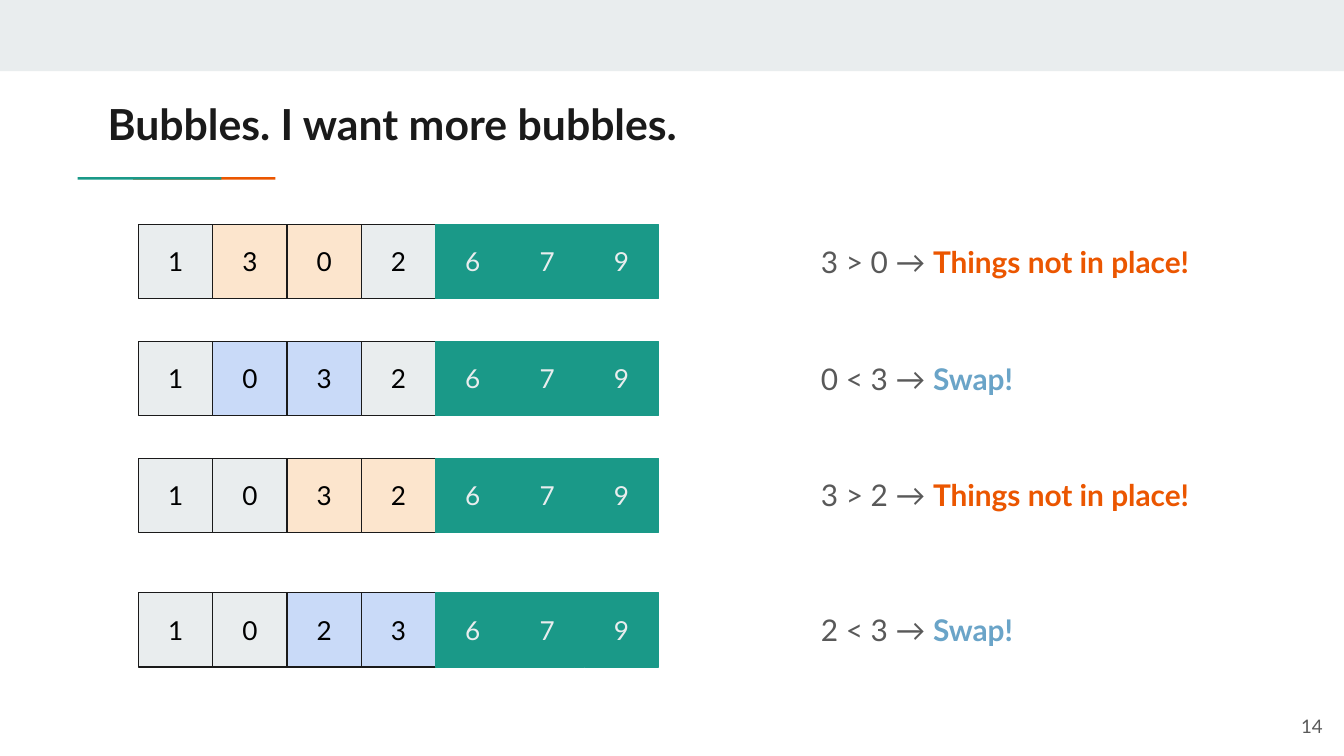
from dataclasses import dataclass

from pptx import Presentation
from pptx.dml.color import RGBColor
from pptx.enum.shapes import MSO_SHAPE
from pptx.enum.text import MSO_ANCHOR, PP_ALIGN
from pptx.util import Pt


@dataclass(frozen=True)
class Theme:
    font: str = "Lato"
    ink: str = "1A1A1A"
    digit: str = "000000"
    body: str = "595959"
    pale: str = "E9EDEE"
    teal: str = "1A9988"
    orange: str = "EB5600"
    blue: str = "6AA4C8"
    compare_fill: str = "FCE5CD"
    swap_fill: str = "C9DAF8"
    title_size: float = 22.9
    note_size: float = 16
    cell_size: float = 14
    number_size: float = 10


THEME = Theme()

CELL = 39.8
ARRAY_LEFT = 74.2
SORTED_FROM = 4  # cells from this index on are already in place

# Each step: top, values, index of the first of the two marked cells, comparison
STEPS = [
    (120.2, "1302679", 1, "3 > 0"),
    (182.9, "1032679", 1, "0 < 3"),
    (245.5, "1032679", 2, "3 > 2"),
    (317.5, "1023679", 2, "2 < 3"),
]


def color(value):
    return RGBColor.from_string(value)


def set_insets(frame, horizontal=7.2, vertical=7.2):
    frame.margin_left = frame.margin_right = Pt(horizontal)
    frame.margin_top = frame.margin_bottom = Pt(vertical)
    frame.word_wrap = True


def style_paragraph(paragraph, size, align=PP_ALIGN.LEFT):
    paragraph.alignment = align
    paragraph.font.name = THEME.font
    paragraph.font.size = Pt(size)


def add_box(slide, left, top, width, height, fill, line=None):
    shape = slide.shapes.add_shape(
        MSO_SHAPE.RECTANGLE, Pt(left), Pt(top), Pt(width), Pt(height))
    shape.shadow.inherit = False
    shape.fill.solid()
    shape.fill.fore_color.rgb = color(fill)
    if line:
        shape.line.color.rgb = color(line)
        shape.line.width = Pt(0.75)
    else:
        shape.line.fill.background()
    return shape


def add_text(slide, left, top, width, height, runs, size,
             align=PP_ALIGN.LEFT, anchor=MSO_ANCHOR.TOP, inset=7.2):
    """Add one line of text; runs are (text, color, bold)."""
    shape = slide.shapes.add_textbox(Pt(left), Pt(top), Pt(width), Pt(height))
    frame = shape.text_frame
    set_insets(frame, horizontal=inset)
    frame.vertical_anchor = anchor
    paragraph = frame.paragraphs[0]
    style_paragraph(paragraph, size, align)
    for text, text_color, bold in runs:
        run = paragraph.add_run()
        run.text = text
        run.font.color.rgb = color(text_color)
        run.font.bold = bold


def add_cell(slide, left, top, value, fill, line, text_color):
    shape = add_box(slide, left, top, CELL, CELL, fill, line)
    frame = shape.text_frame
    set_insets(frame)
    frame.vertical_anchor = MSO_ANCHOR.MIDDLE
    paragraph = frame.paragraphs[0]
    paragraph.text = value
    style_paragraph(paragraph, THEME.cell_size, PP_ALIGN.CENTER)
    paragraph.font.color.rgb = color(text_color)


def add_step(slide, top, values, marked, comparison):
    out_of_order = ">" in comparison
    mark_fill = THEME.compare_fill if out_of_order else THEME.swap_fill
    for index, value in enumerate(values):
        if index >= SORTED_FROM:
            colors = THEME.teal, THEME.teal, THEME.pale
        elif index in (marked, marked + 1):
            colors = mark_fill, THEME.ink, THEME.digit
        else:
            colors = THEME.pale, THEME.ink, THEME.digit
        add_cell(slide, ARRAY_LEFT + index * CELL, top, value, *colors)

    verdict = (("Things not in place!", THEME.orange, True) if out_of_order
               else ("Swap!", THEME.blue, True))
    add_text(slide, 432.7, top + 2.9, 239.8, 33.8,
             [(f"{comparison} → ", THEME.body, False), verdict],
             THEME.note_size)


def main():
    presentation = Presentation()
    presentation.slide_width = Pt(720)
    presentation.slide_height = Pt(405)
    slide = presentation.slides.add_slide(presentation.slide_layouts[6])

    # Top band and two-colour accent line
    add_box(slide, 0, 0, 720, 38.2, THEME.pale)
    add_box(slide, 71.3, 94.9, 76.3, 1.4, THEME.orange)
    add_box(slide, 41.6, 94.9, 77, 1.4, THEME.teal)

    # Title and slide number
    add_text(slide, 57.6, 45.4, 605.5, 42.5,
             [("Bubbles. I want more bubbles.", THEME.ink, True)],
             THEME.title_size, inset=0)
    add_text(slide, 672.5, 373.7, 43.2, 31,
             [("14", THEME.body, False)], THEME.number_size,
             PP_ALIGN.RIGHT, MSO_ANCHOR.MIDDLE)

    # Bubble sort steps
    for step in STEPS:
        add_step(slide, *step)

    presentation.save("out.pptx")


if __name__ == "__main__":
    main()
